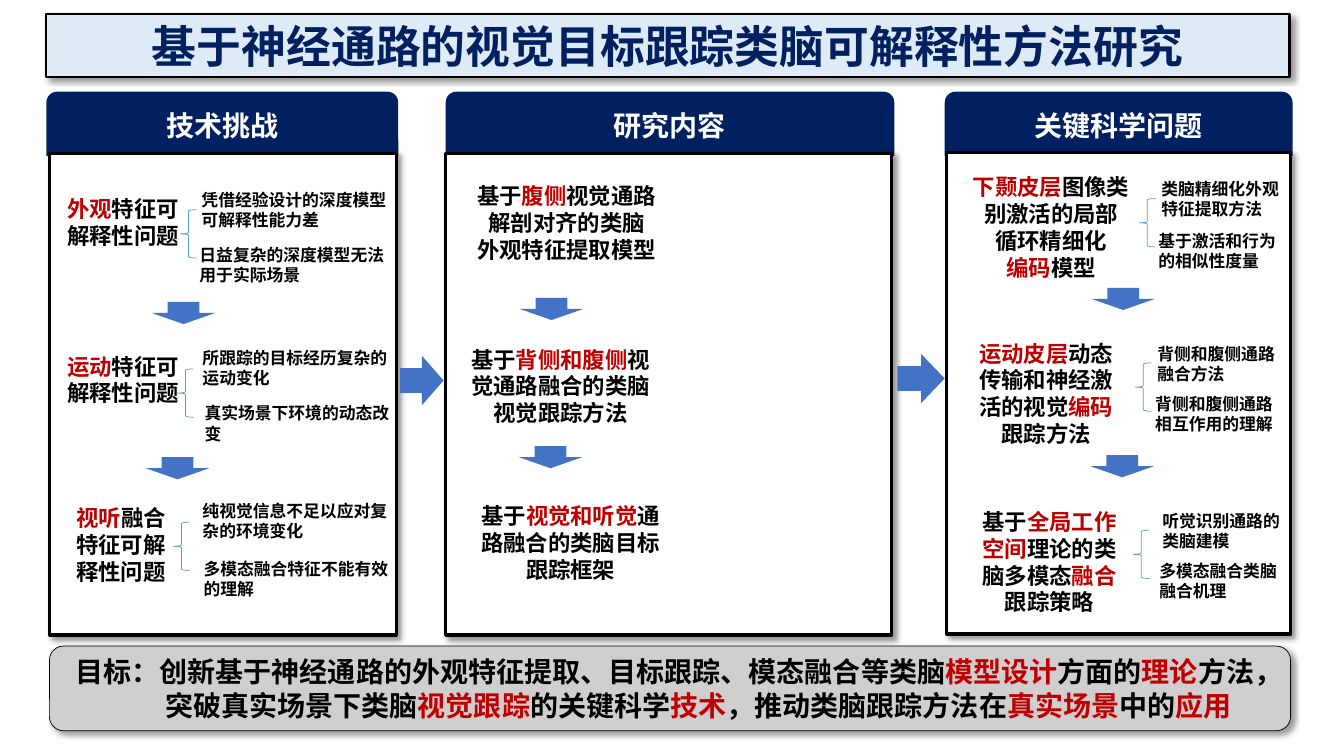
from dataclasses import dataclass

from pptx import Presentation
from pptx.dml.color import RGBColor
from pptx.enum.shapes import MSO_SHAPE as SHAPE
from pptx.enum.text import MSO_ANCHOR as ANCHOR, MSO_AUTO_SIZE as AUTO, PP_ALIGN as ALIGN
from pptx.oxml import parse_xml
from pptx.oxml.ns import nsdecls, qn
from pptx.util import Inches, Pt


@dataclass(frozen=True)
class Theme:
    font: str = "Noto Sans CJK SC"
    navy: str = "002060"
    pale: str = "DEEBF7"
    grey: str = "D0CECE"
    blue: str = "4472C4"
    brace: str = "5B9BD5"
    red: str = "C00000"
    black: str = "000000"
    white: str = "FFFFFF"
    title: int = 32
    head: int = 20
    topic: int = 16
    note: int = 12


T = Theme()

# Column frames: heading, heading (left, width), panel (left, top, width)
COLUMNS = [
    ("技术挑战", (0.46, 3.49), (0.49, 1.52, 3.44)),
    ("研究内容", (4.42, 4.45), (4.42, 1.52, 4.42)),
    ("关键科学问题", (9.37, 3.45), (9.39, 1.51, 3.41)),
]

# Topics: (left, top, width), text with the red parts between bars
TOPICS = [
    ((0.56, 1.89, 1.32), "|外观|特征可解释性问题"),
    ((0.56, 3.45, 1.32), "|运动|特征可解释性问题"),
    ((0.59, 4.95, 1.22), "|视听|融合特征可解释性问题"),
    ((4.57, 1.76, 2.1), "基于|腹侧|视觉通路\n解剖对齐的类脑\n外观特征提取模型"),
    ((4.57, 3.38, 1.98), "基于|背侧和腹侧|视觉通路融合的类脑视觉跟踪方法"),
    ((4.57, 4.93, 2.18), "基于|视觉和听觉|通路融合的类脑目标\n跟踪框架"),
    ((9.53, 1.67, 1.79), "|下颞皮层|图像类别激活的局部\n循环精细化\n|编码|模型"),
    ((9.58, 3.32, 1.59), "|运动皮层|动态传输和神经激活的视觉|编码|跟踪方法"),
    ((9.56, 4.99, 1.7), "基于|全局工作空间|理论的类脑多模态|融合|跟踪策略"),
]

# Notes: (left, top, width), text
NOTES = [
    ((1.9, 1.83, 2.05), "凭借经验设计的深度模型可解释性能力差"),
    ((1.88, 2.38, 2.05), "日益复杂的深度模型无法用于实际场景"),
    ((1.91, 3.4, 2.05), "所跟踪的目标经历复杂的运动变化"),
    ((1.93, 3.95, 2.05), "真实场景下环境的动态改变"),
    ((1.91, 4.92, 2.05), "纯视觉信息不足以应对复杂的环境变化"),
    ((1.92, 5.49, 2.05), "多模态融合特征不能有效的理解"),
    ((11.42, 1.72, 1.38), "类脑精细化外观特征提取方法"),
    ((11.39, 2.24, 1.4), "基于激活和行为的相似性度量"),
    ((11.38, 3.36, 1.38), "背侧和腹侧通路融合方法"),
    ((11.36, 3.86, 1.4), "背侧和腹侧通路相互作用的理解"),
    ((11.43, 5.02, 1.4), "听觉识别通路的类脑建模"),
    ((11.4, 5.51, 1.38), "多模态融合类脑融合机理"),
]

BRACES = [(1.79, 2.08), (1.76, 3.66), (1.72, 5.18),
          (11.3, 1.97), (11.26, 3.6), (11.24, 5.26)]
DOWN_ARROWS = [(1.71, 2.79), (1.65, 4.33), (5.36, 2.75),
               (5.35, 4.22), (11.03, 2.65), (11.02, 4.31)]
COLUMN_ARROWS = [(3.97, 3.53, 0.43, 0.49), (8.9, 3.51, 0.47, 0.49)]

GOAL = ("目标：创新基于神经通路的外观特征提取、目标跟踪、模态融合等类脑|模型设计|方面的|理论|方法，"
        "突破真实场景下类脑|视觉跟踪|的关键科学|技术|，推动类脑跟踪方法在|真实场景|中的|应用|")


def rgb(value):
    return RGBColor.from_string(value)


def set_attrs(obj, values):
    for name, value in values.items():
        setattr(obj, name, value)


def paint(sp, fill=None, line=None, width=1, shadow=False):
    """Set fill, outline and optional drop shadow."""
    if fill:
        sp.fill.solid()
        sp.fill.fore_color.rgb = rgb(fill)
    else:
        sp.fill.background()
    if line:
        sp.line.color.rgb = rgb(line)
        sp.line.width = Pt(width)
    else:
        sp.line.fill.background()
    sp.shadow.inherit = False
    if shadow:
        sp.element.spPr.find(qn("a:effectLst")).append(parse_xml(
            f'<a:outerShdw {nsdecls("a")} blurRad="{Pt(4)}" dist="{Pt(3)}" dir="2700000" '
            f'algn="tl" rotWithShape="0"><a:srgbClr val="{T.black}">'
            '<a:alpha val="40000"/></a:srgbClr></a:outerShdw>'))


def write(sp, text, size, color=T.black, align=ALIGN.CENTER, anchor=ANCHOR.MIDDLE):
    """Fill a shape with text; parts between bars are red."""
    tf = sp.text_frame
    set_attrs(tf, {"word_wrap": True, "auto_size": AUTO.NONE, "vertical_anchor": anchor})
    for i, line in enumerate(text.split("\n")):
        p = tf.add_paragraph() if i else tf.paragraphs[0]
        p.alignment = align
        for j, part in enumerate(line.split("|")):
            if not part:
                continue
            r = p.add_run()
            r.text = part
            set_attrs(r.font, {"name": T.font, "size": Pt(size), "bold": True})
            r.font.color.rgb = rgb(T.red if j % 2 else color)
            r.font._element.find(qn("a:latin")).addnext(
                parse_xml(f'<a:ea {nsdecls("a")} typeface="{T.font}"/>'))
    return tf


def add_shape(slide, kind, box, **style):
    sp = slide.shapes.add_shape(kind, *map(Inches, box))
    paint(sp, **style)
    return sp


def add_text(slide, box, text, size, align):
    sp = slide.shapes.add_textbox(*map(Inches, box))
    write(sp, text, size, align=align, anchor=ANCHOR.TOP)


def add_title(slide, text):
    sp = slide.shapes.title
    box = zip(("left", "top", "width", "height"), (0.46, 0.14, 12.33, 0.62))
    set_attrs(sp, {name: Inches(v) for name, v in box})
    paint(sp, fill=T.pale, line=T.black, width=1.5, shadow=True)
    write(sp, text, T.title, T.navy)


def add_column(slide, heading, head, panel):
    left, width = head
    sp = add_shape(slide, SHAPE.ROUND_2_SAME_RECTANGLE, (left, 0.91, width, 0.64), fill=T.navy)
    write(sp, heading, T.head, T.white)
    add_shape(slide, SHAPE.RECTANGLE, (*panel, 4.78),
              fill=T.white, line=T.black, width=2.25, shadow=True)


def add_goal(slide):
    sp = add_shape(slide, SHAPE.ROUNDED_RECTANGLE, (0.49, 6.41, 12.31, 0.84),
                   fill=T.grey, line=T.black, width=0.5, shadow=True)
    tf = write(sp, GOAL, T.head, align=ALIGN.LEFT)
    # Hanging indent under the label
    pPr = tf.paragraphs[0]._p.get_or_add_pPr()
    pPr.set("marL", str(Inches(1.01)))
    pPr.set("indent", str(Inches(-0.89)))


def main():
    prs = Presentation()
    prs.slide_width, prs.slide_height = Inches(13.33), Inches(7.5)
    slide = prs.slides.add_slide(prs.slide_layouts[5])

    # Title, columns and goal bar
    add_title(slide, "基于神经通路的视觉目标跟踪类脑可解释性方法研究")
    for column in COLUMNS:
        add_column(slide, *column)
    add_goal(slide)

    # Topics and their notes
    for (left, top, width), text in TOPICS:
        height = 0.91 if left < 9 else 1.18
        add_text(slide, (left, top, width, height), text, T.topic, ALIGN.CENTER)
    for place, text in NOTES:
        add_text(slide, (*place, 0.5), text, T.note, ALIGN.LEFT)

    # Braces and arrows
    for place in BRACES:
        add_shape(slide, SHAPE.LEFT_BRACE, (*place, 0.16, 0.48), line=T.brace, width=0.5)
    for place in DOWN_ARROWS:
        sp = add_shape(slide, SHAPE.RIGHT_ARROW, (*place, 0.22, 0.63), fill=T.blue)
        sp.rotation = 90
    for box in COLUMN_ARROWS:
        add_shape(slide, SHAPE.RIGHT_ARROW, box, fill=T.blue)

    prs.save("out.pptx")


if __name__ == "__main__":
    main()
